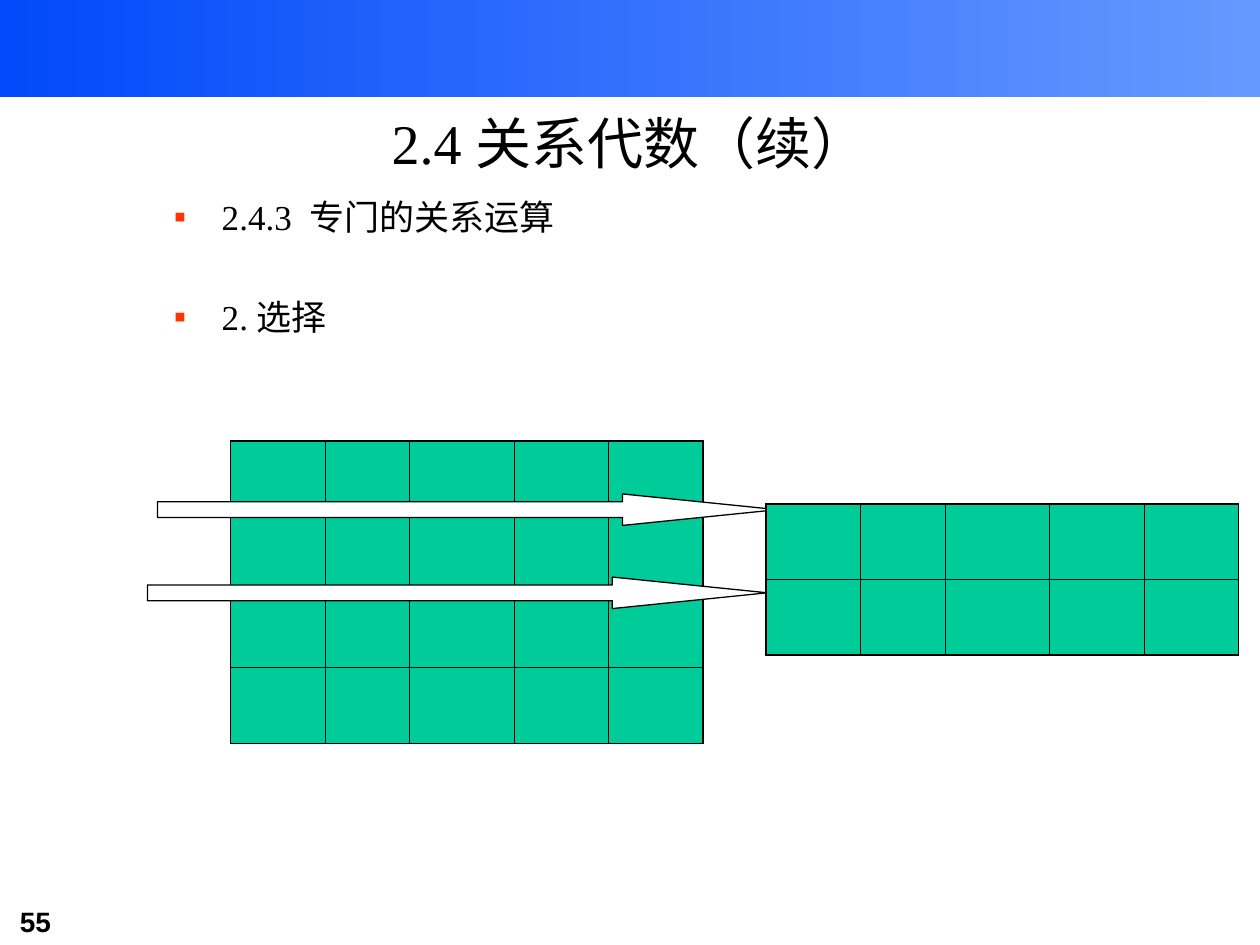
from dataclasses import dataclass

from lxml.etree import SubElement
from pptx import Presentation
from pptx.dml.color import RGBColor
from pptx.enum.shapes import MSO_SHAPE
from pptx.enum.text import MSO_ANCHOR, MSO_AUTO_SIZE, PP_ALIGN
from pptx.oxml import parse_xml
from pptx.oxml.ns import nsdecls, qn
from pptx.util import Inches, Pt

BLACK = RGBColor(0x00, 0x00, 0x00)
WHITE = RGBColor(0xFF, 0xFF, 0xFF)
GREEN = RGBColor(0x00, 0xCC, 0x99)
BULLET_RED = RGBColor(0xFF, 0x33, 0x00)
BANNER_COLORS = (RGBColor(0x02, 0x49, 0xFA), RGBColor(0x66, 0x99, 0xFF))

COLUMN_WIDTHS = (0.75, 0.67, 0.83, 0.75, 0.75)
ROW_HEIGHT = 0.6
OUTER_BORDER, INNER_BORDER = Pt(1.08), Pt(0.45)
ARROW_WIDTH, ARROW_HEIGHT = 4.92, 0.25

TITLE_FONT = {"name": "Times New Roman", "size": Pt(32), "bold": False}
LIST_FONT = {"name": "Times New Roman", "size": Pt(20), "bold": False}
NUMBER_FONT = {"name": "Arial", "size": Pt(16), "bold": True}
LIST_ITEMS = ("2.4.3  专门的关系运算", "2. 选择")
ITEM_GAP = Pt(33)


@dataclass(frozen=True)
class Relation:
    left: float
    top: float
    rows: int


@dataclass(frozen=True)
class SelectionArrow:
    left: float
    top: float


SOURCE_RELATION = Relation(1.83, 3.5, 4)
RESULT_RELATION = Relation(6.08, 4, 2)
ARROWS = (SelectionArrow(1.25, 3.92), SelectionArrow(1.17, 4.58))


def place(shape, left: float, top: float, width: float, height: float) -> None:
    box = {"left": left, "top": top, "width": width, "height": height}
    for name, value in box.items():
        setattr(shape, name, Inches(value))


def write(paragraph, text: str, font_format: dict) -> None:
    run = paragraph.add_run()
    run.text = text
    for name, value in font_format.items():
        setattr(run.font, name, value)
    run.font.color.rgb = BLACK


def add_bullet(paragraph) -> None:
    properties = paragraph._p.get_or_add_pPr()
    properties.set("marL", str(Inches(0.38)))
    properties.set("indent", str(-Inches(0.38)))
    color = SubElement(properties, qn("a:buClr"))
    SubElement(color, qn("a:srgbClr"), val=str(BULLET_RED))
    SubElement(properties, qn("a:buFont"), typeface="Arial")
    SubElement(properties, qn("a:buChar"), char="▪")


def set_borders(cell, widths: dict) -> None:
    """Draw the cell's edges; widths is keyed in schema order L, R, T, B."""
    properties = cell._tc.get_or_add_tcPr()
    for index, (side, width) in enumerate(widths.items()):
        properties.insert(index, parse_xml(
            f'<a:ln{side} {nsdecls("a")} w="{int(width)}"><a:solidFill>'
            f'<a:srgbClr val="{BLACK}"/></a:solidFill></a:ln{side}>'))


def add_banner(slide, slide_width: float) -> None:
    banner = slide.shapes.add_shape(MSO_SHAPE.RECTANGLE, 0, 0, 0, 0)
    place(banner, 0, 0, slide_width, 0.77)
    banner.shadow.inherit = False
    banner.line.fill.background()
    banner.fill.gradient()
    banner.fill.gradient_angle = 0
    for stop, color, position in zip(banner.fill.gradient_stops, BANNER_COLORS, (0, 1)):
        stop.color.rgb = color
        stop.position = position


def add_slide_number(slide, number: str) -> None:
    box = slide.shapes.add_textbox(0, 0, 0, 0)
    place(box, 0.06, 7.13, 1.22, 0.37)
    box.text_frame.word_wrap = True
    write(box.text_frame.paragraphs[0], number, NUMBER_FONT)


def fill_title(title, text: str) -> None:
    place(title, 0.75, 0.67, 8.5, 0.92)
    frame = title.text_frame
    frame.auto_size = MSO_AUTO_SIZE.NONE
    frame.vertical_anchor = MSO_ANCHOR.MIDDLE
    frame.paragraphs[0].alignment = PP_ALIGN.CENTER
    write(frame.paragraphs[0], text, TITLE_FONT)


def fill_list(body) -> None:
    place(body, 1.28, 1.5, 8.5, 5.17)
    frame = body.text_frame
    frame.auto_size = MSO_AUTO_SIZE.NONE
    for index, item in enumerate(LIST_ITEMS):
        paragraph = frame.add_paragraph() if index else frame.paragraphs[0]
        paragraph.space_before = ITEM_GAP if index else Pt(0)
        add_bullet(paragraph)
        write(paragraph, item, LIST_FONT)


def add_relation(slide, relation: Relation) -> None:
    last_row, last_column = relation.rows - 1, len(COLUMN_WIDTHS) - 1
    table = slide.shapes.add_table(
        relation.rows, len(COLUMN_WIDTHS), Inches(relation.left), Inches(relation.top),
        Inches(sum(COLUMN_WIDTHS)), Inches(relation.rows * ROW_HEIGHT)).table
    table.first_row = table.horz_banding = False
    for column, width in zip(table.columns, COLUMN_WIDTHS):
        column.width = Inches(width)
    for row_index, row in enumerate(table.rows):
        row.height = Inches(ROW_HEIGHT)
        for column_index, cell in enumerate(row.cells):
            cell.fill.solid()
            cell.fill.fore_color.rgb = GREEN
            on_edge = {"L": column_index == 0, "R": column_index == last_column,
                       "T": row_index == 0, "B": row_index == last_row}
            set_borders(cell, {side: OUTER_BORDER if outer else INNER_BORDER
                               for side, outer in on_edge.items()})


def add_arrow(slide, arrow: SelectionArrow) -> None:
    shape = slide.shapes.add_shape(MSO_SHAPE.RIGHT_ARROW, 0, 0, 0, 0)
    place(shape, arrow.left, arrow.top, ARROW_WIDTH, ARROW_HEIGHT)
    shape.adjustments[0] = 0.5
    shape.adjustments[1] = 4.92
    shape.shadow.inherit = False
    shape.fill.solid()
    shape.fill.fore_color.rgb = WHITE
    shape.line.color.rgb = BLACK
    shape.line.width = Pt(0.75)


def main() -> None:
    presentation = Presentation()
    presentation.slide_width, presentation.slide_height = Inches(10), Inches(7.5)
    slide = presentation.slides.add_slide(presentation.slide_layouts[1])
    add_banner(slide, 10)
    add_slide_number(slide, "55")
    fill_title(slide.shapes.title, "2.4 关系代数（续）")
    fill_list(slide.placeholders[1])
    add_relation(slide, SOURCE_RELATION)
    for arrow in ARROWS:
        add_arrow(slide, arrow)
    add_relation(slide, RESULT_RELATION)
    presentation.save("out.pptx")


if __name__ == "__main__":
    main()
